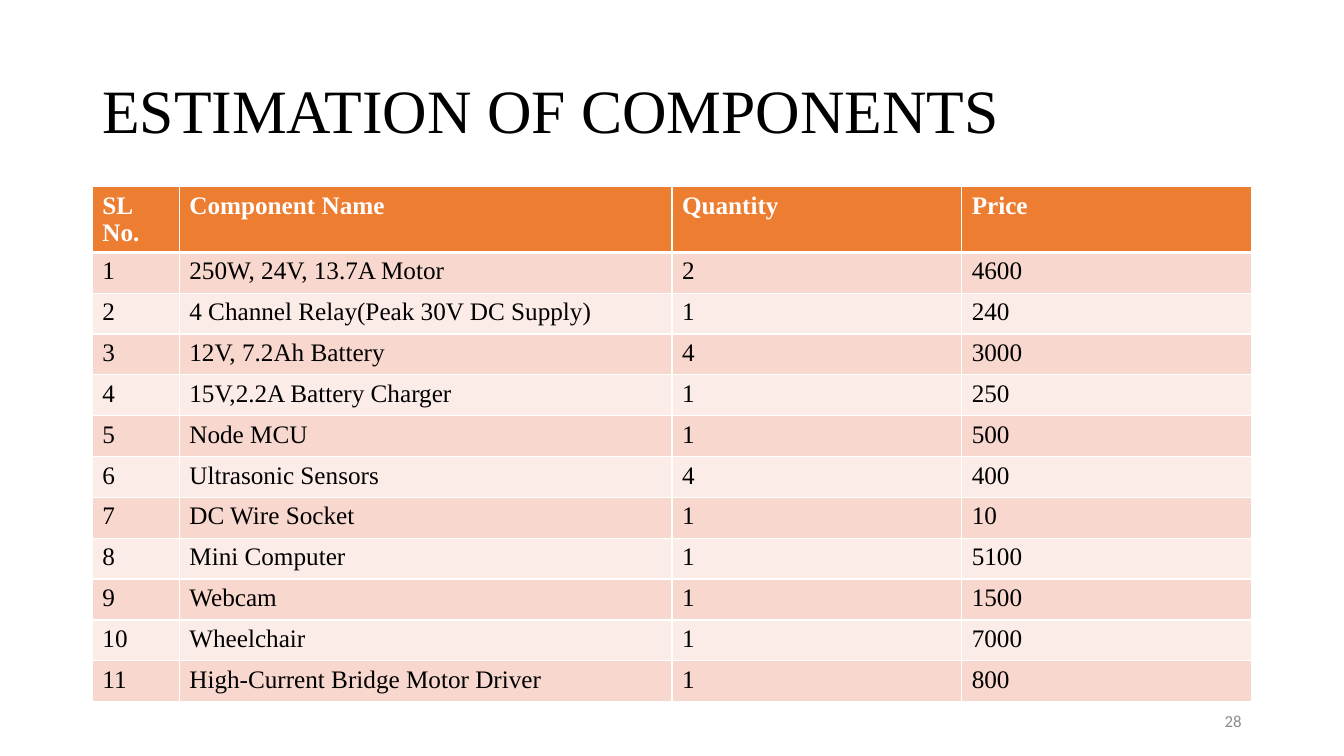
from dataclasses import dataclass
from typing import Any, NamedTuple

from pptx import Presentation
from pptx import util as u
from pptx.dml.color import RGBColor
from pptx.enum import text
from pptx.oxml import parse_xml
from pptx.oxml.ns import nsdecls

GRID_COLUMNS, GRID_ROWS = 160, 150
COLUMN, ROW = u.Inches(1 / 12), u.Inches(0.05)


@dataclass(frozen=True)
class Theme:
    serif: str = "Times New Roman"
    sans: str = "Calibri"
    ink: str = "000000"
    white: str = "FFFFFF"
    muted: str = "8C8C8C"
    header: str = "ED7D31"
    bands: tuple[str, str] = ("F8D7CE", "FCECE8")
    title_size: int = 44
    table_size: int = 18
    number_size: int = 12
    thin: int = 1
    thick: int = 3


class Area(NamedTuple):
    """Left, top, width and height in grid columns and rows."""
    left: float
    top: float
    width: float
    height: float

    def lengths(self) -> tuple[int, ...]:
        units = (COLUMN, ROW, COLUMN, ROW)
        return tuple(round(count * unit) for count, unit in zip(self, units))


class Label(NamedTuple):
    words: str
    area: Area
    font: dict[str, Any]
    layout: dict[str, Any]


class Component(NamedTuple):
    name: str
    quantity: int
    price: int


THEME = Theme()
LABELS = (
    Label("ESTIMATION OF COMPONENTS", Area(11, 8, 138, 29),
          {"name": THEME.serif, "size": THEME.title_size, "color": THEME.ink},
          {"line_spacing": 0.9}),
    Label("28", Area(113, 139, 36, 8),
          {"name": THEME.sans, "size": THEME.number_size, "color": THEME.muted},
          {"alignment": text.PP_ALIGN.RIGHT}),
)
TABLE_AREA = Area(11, 37, 138, 97.33)
ROW_HEIGHT = 8.11
COLUMN_SHARES = (0.075, 0.425, 0.25, 0.25)
HEADINGS = ("SL No.", "Component Name", "Quantity", "Price")
COMPONENTS = (
    Component("250W, 24V, 13.7A Motor", 2, 4600),
    Component("4 Channel Relay(Peak 30V DC Supply)", 1, 240),
    Component("12V, 7.2Ah Battery", 4, 3000),
    Component("15V,2.2A Battery Charger", 1, 250),
    Component("Node MCU", 1, 500),
    Component("Ultrasonic Sensors", 4, 400),
    Component("DC Wire Socket", 1, 10),
    Component("Mini Computer", 1, 5100),
    Component("Webcam", 1, 1500),
    Component("Wheelchair", 1, 7000),
    Component("High-Current Bridge Motor Driver", 1, 800),
)


def apply_font(font: Any, values: dict[str, Any]) -> None:
    for name, value in values.items():
        if name == "color":
            font.color.rgb = RGBColor.from_string(value)
        else:
            setattr(font, name, u.Pt(value) if name == "size" else value)


def add_label(slide: Any, label: Label) -> None:
    frame = slide.shapes.add_textbox(*label.area.lengths()).text_frame
    frame.word_wrap = True
    frame.vertical_anchor = text.MSO_ANCHOR.MIDDLE
    paragraph = frame.paragraphs[0]
    for name, value in label.layout.items():
        setattr(paragraph, name, value)
    run = paragraph.add_run()
    run.text = label.words
    apply_font(run.font, label.font)


def add_borders(cell: Any, widths: dict[str, int]) -> None:
    properties = cell._tc.get_or_add_tcPr()
    for position, (side, width) in enumerate(widths.items()):
        properties.insert(position, parse_xml(
            f'<a:{side} {nsdecls("a")} w="{u.Pt(width)}"><a:solidFill>'
            f'<a:srgbClr val="{THEME.white}"/></a:solidFill></a:{side}>'))


def fill_cell(cell: Any, words: str, row: int) -> None:
    is_header = row == 0
    run = cell.text_frame.paragraphs[0].add_run()
    run.text = words
    apply_font(run.font, {
        "name": THEME.serif, "size": THEME.table_size, "bold": is_header,
        "color": THEME.white if is_header else THEME.ink})
    cell.fill.solid()
    cell.fill.fore_color.rgb = RGBColor.from_string(
        THEME.header if is_header else THEME.bands[(row - 1) % 2])
    add_borders(cell, {
        "lnL": THEME.thin, "lnR": THEME.thin,
        "lnT": THEME.thick if row == 1 else THEME.thin,
        "lnB": THEME.thick if is_header else THEME.thin})


def add_component_table(slide: Any) -> None:
    records = [HEADINGS] + [(number, *component) for number, component
                            in enumerate(COMPONENTS, start=1)]
    area = TABLE_AREA.lengths()
    table = slide.shapes.add_table(len(records), len(HEADINGS), *area).table
    for column, share in zip(table.columns, COLUMN_SHARES):
        column.width = round(area[2] * share)
    for row, record in enumerate(records):
        table.rows[row].height = round(ROW_HEIGHT * ROW)
        for column, value in enumerate(record):
            fill_cell(table.cell(row, column), str(value), row)


def main() -> None:
    presentation = Presentation()
    presentation.slide_width = GRID_COLUMNS * COLUMN
    presentation.slide_height = GRID_ROWS * ROW
    slide = presentation.slides.add_slide(presentation.slide_layouts[6])
    add_component_table(slide)
    for label in LABELS:
        add_label(slide, label)
    presentation.save("out.pptx")


if __name__ == "__main__":
    main()
